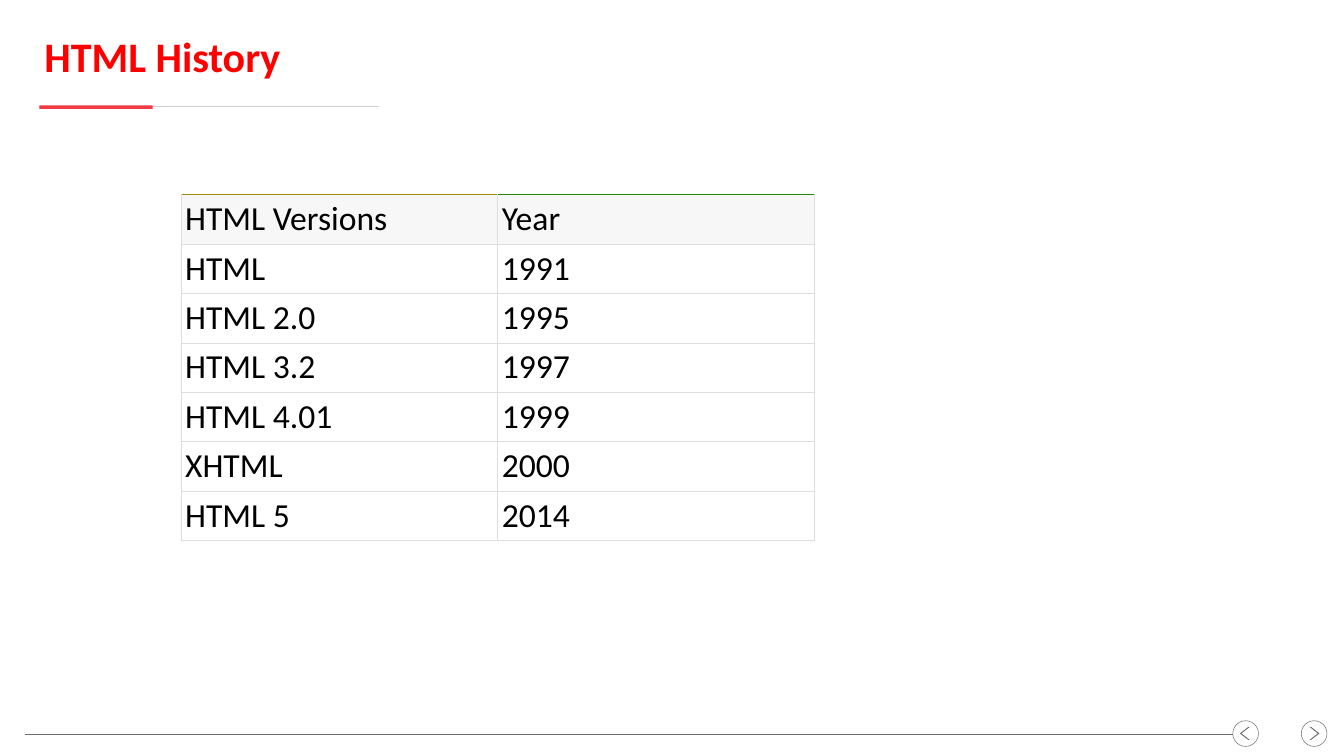
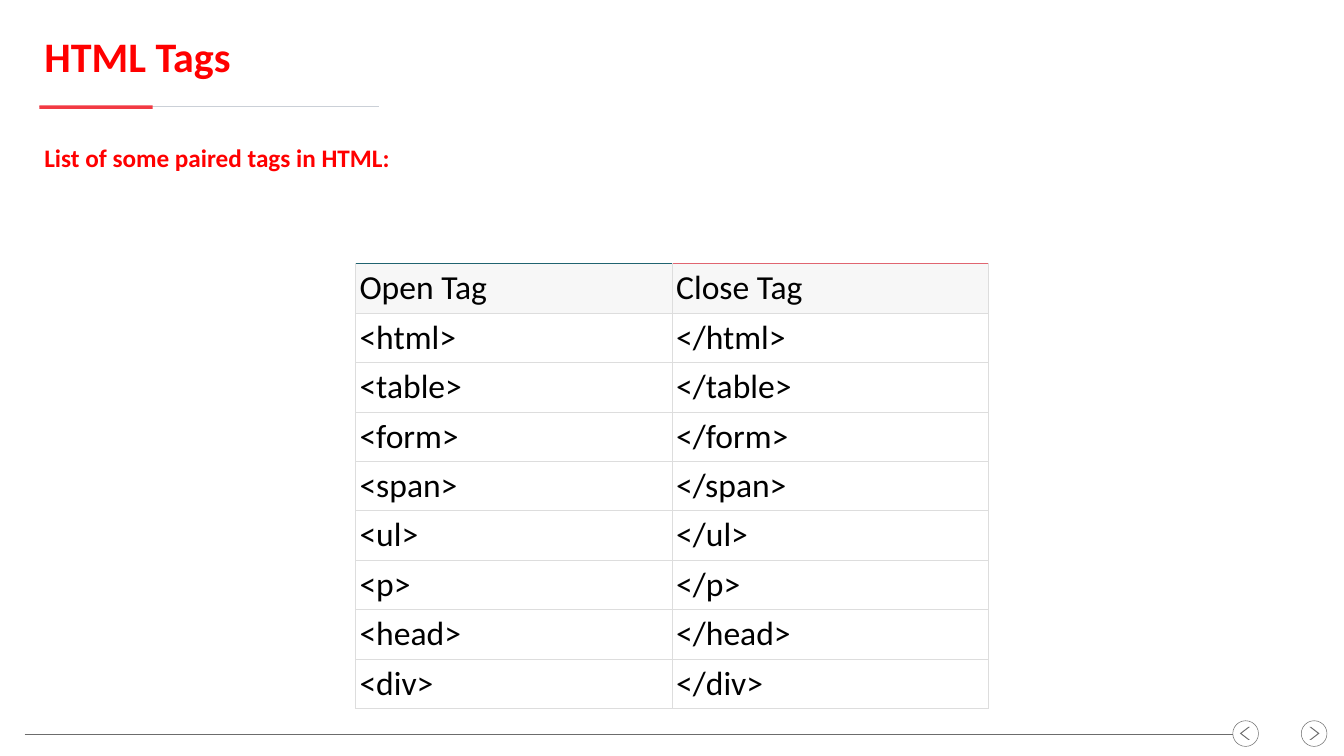
from lxml.etree import SubElement
from pptx import Presentation
from pptx.dml.color import RGBColor
from pptx.enum.shapes import MSO_CONNECTOR, MSO_SHAPE
from pptx.enum.text import MSO_ANCHOR, MSO_AUTO_SIZE, PP_ALIGN
from pptx.oxml.ns import qn
from pptx.util import Pt

TITLE_ONLY = 5
LEFT_MARGIN = 56.2


def color(hex_string):
    """Turn a hex string into a colour."""
    return RGBColor.from_string(hex_string)


class Deck:
    """Holds the shared style and the current slide."""

    font = "Calibri"
    heading = "FF0000"
    body = "000000"
    accent = "F23A43"
    rule = "CBD0D7"
    footer = "6C6C6C"
    grid = "DDDDDD"
    header_fill = "F7F7F7"
    hairline = 0.75

    def __init__(self):
        """Start a presentation of 1920 by 1080 points."""
        self.presentation = Presentation()
        self.presentation.slide_width = Pt(1920)
        self.presentation.slide_height = Pt(1080)
        self.slide = None

    def add_slide(self, title):
        """Add a slide with its title, title rule and footer."""
        layout = self.presentation.slide_layouts[TITLE_ONLY]
        self.slide = self.presentation.slides.add_slide(layout)
        self.add_title(title)
        self.add_line(LEFT_MARGIN, 541.4, 152.6, self.rule, 1.5)
        self.add_shape(self.slide.shapes, MSO_SHAPE.RECTANGLE,
                       LEFT_MARGIN, 150.5, 162, 5, fill=self.accent)
        self.add_footer()

    def add_run(self, paragraph, text, size, hex_string, bold=False):
        """Add one formatted run to a paragraph."""
        run = paragraph.add_run()
        run.text = text
        run.font.name = self.font
        run.font.size = Pt(size)
        run.font.bold = bold
        run.font.color.rgb = color(hex_string)

    def format_heading(self, shape, text, size, anchor):
        """Write a bold red heading into a shape."""
        frame = shape.text_frame
        frame.word_wrap = True
        frame.auto_size = MSO_AUTO_SIZE.NONE
        frame.vertical_anchor = anchor
        paragraph = frame.paragraphs[0]
        paragraph.alignment = PP_ALIGN.LEFT
        paragraph.space_before = Pt(size * 0.2)
        paragraph.space_after = Pt(12)
        self.add_run(paragraph, text, size, self.heading, bold=True)
        return paragraph

    def add_title(self, text):
        """Place and fill the title placeholder."""
        title = self.slide.shapes.title
        title.left, title.top = Pt(LEFT_MARGIN), Pt(42.5)
        title.width, title.height = Pt(1803.6), Pt(75)
        self.format_heading(title, text, 60, MSO_ANCHOR.MIDDLE)

    def add_subtitle(self, text):
        """Add the heading below the title rule."""
        box = self.slide.shapes.add_textbox(
            Pt(LEFT_MARGIN), Pt(189.4), Pt(588), Pt(43.2))
        paragraph = self.format_heading(box, text, 36, MSO_ANCHOR.TOP)
        paragraph.line_spacing = 1.25

    def add_line(self, start, end, y, hex_string, width):
        """Add a horizontal line."""
        line = self.slide.shapes.add_connector(
            MSO_CONNECTOR.STRAIGHT, Pt(start), Pt(y), Pt(end), Pt(y))
        line.line.color.rgb = color(hex_string)
        line.line.width = Pt(width)
        SubElement(line._element.spPr, qn("a:effectLst"))

    def add_shape(self, shapes, kind, left, top, width, height,
                  fill=None, outline=None):
        """Add a preset shape with an optional fill and outline."""
        shape = shapes.add_shape(kind, Pt(left), Pt(top), Pt(width), Pt(height))
        shape.shadow.inherit = False
        if fill:
            shape.fill.solid()
            shape.fill.fore_color.rgb = color(fill)
        else:
            shape.fill.background()
        if outline:
            shape.line.color.rgb = color(outline)
            shape.line.width = Pt(self.hairline)
        else:
            shape.line.fill.background()
        return shape

    def add_arrow_button(self, left, chevron_left, rotation):
        """Add a circled chevron as one group."""
        shapes = self.slide.shapes.add_group_shape().shapes
        self.add_shape(shapes, MSO_SHAPE.OVAL, left, 1029.6, 36.7, 36.7,
                       outline=self.footer)
        chevron = self.add_shape(shapes, MSO_SHAPE.CHEVRON, chevron_left, 1038.4,
                                 14.4, 18.7, fill=self.footer)
        chevron.adjustments[0] = 0.844
        chevron.rotation = rotation

    def add_footer(self):
        """Add the footer line and the two arrow buttons."""
        self.add_arrow_button(1859, 1870.6, 0)
        self.add_arrow_button(1761.1, 1771.2, 180)
        self.add_line(35.3, 1761.1, 1048.3, self.footer, self.hairline)

    def add_borders(self, cell, top):
        """Give a cell four thin borders, the top one in its own colour."""
        properties = cell._tc.get_or_add_tcPr()
        sides = {"lnL": self.grid, "lnR": self.grid, "lnT": top, "lnB": self.grid}
        for side, hex_string in sides.items():
            line = SubElement(properties, qn(f"a:{side}"),
                              w=str(int(Pt(self.hairline))))
            fill = SubElement(line, qn("a:solidFill"))
            SubElement(fill, qn("a:srgbClr"), val=hex_string)

    def format_cell(self, cell, text, top, fill, anchor):
        """Write and style one table cell."""
        self.add_borders(cell, top)
        if fill:
            cell.fill.solid()
            cell.fill.fore_color.rgb = color(fill)
        else:
            cell.fill.background()
        cell.margin_left = cell.margin_right = Pt(6)
        cell.margin_top = cell.margin_bottom = Pt(6)
        cell.vertical_anchor = anchor
        self.add_run(cell.text_frame.paragraphs[0], text, 48, self.body)

    def add_table(self, left, top, rows, header_tops, body_fill=None):
        """Add a two-column table; its first row is the header."""
        column_width, row_height = 452.4, 70.6
        table = self.slide.shapes.add_table(
            len(rows), 2, Pt(left), Pt(top),
            Pt(2 * column_width), Pt(len(rows) * row_height)).table
        table.horz_banding = False
        for column in table.columns:
            column.width = Pt(column_width)
        for row_index, texts in enumerate(rows):
            table.rows[row_index].height = Pt(row_height)
            for column_index, text in enumerate(texts):
                cell = table.cell(row_index, column_index)
                if row_index == 0:
                    self.format_cell(cell, text, header_tops[column_index],
                                     self.header_fill, MSO_ANCHOR.BOTTOM)
                else:
                    self.format_cell(cell, text, self.grid, body_fill,
                                     MSO_ANCHOR.TOP)


def build():
    """Build both slides and save the file."""
    deck = Deck()

    deck.add_slide("HTML History")
    versions = [("HTML Versions", "Year"), ("HTML", "1991"),
                ("HTML 2.0", "1995"), ("HTML 3.2", "1997"),
                ("HTML 4.01", "1999"), ("XHTML", "2000"), ("HTML 5", "2014")]
    deck.add_table(258.5, 277.9, versions, ("A0880A", "20890A"), "FFFFFF")

    deck.add_slide("HTML Tags")
    names = ["html", "table", "form", "span", "ul", "p", "head", "div"]
    tags = [("Open Tag", "Close Tag")]
    tags += [(f"<{name}>", f"</{name}>") for name in names]
    deck.add_table(507.6, 376.6, tags, ("206370", "E06570"))
    deck.add_subtitle("List of some paired tags in HTML:")

    deck.presentation.save("out.pptx")


build()
